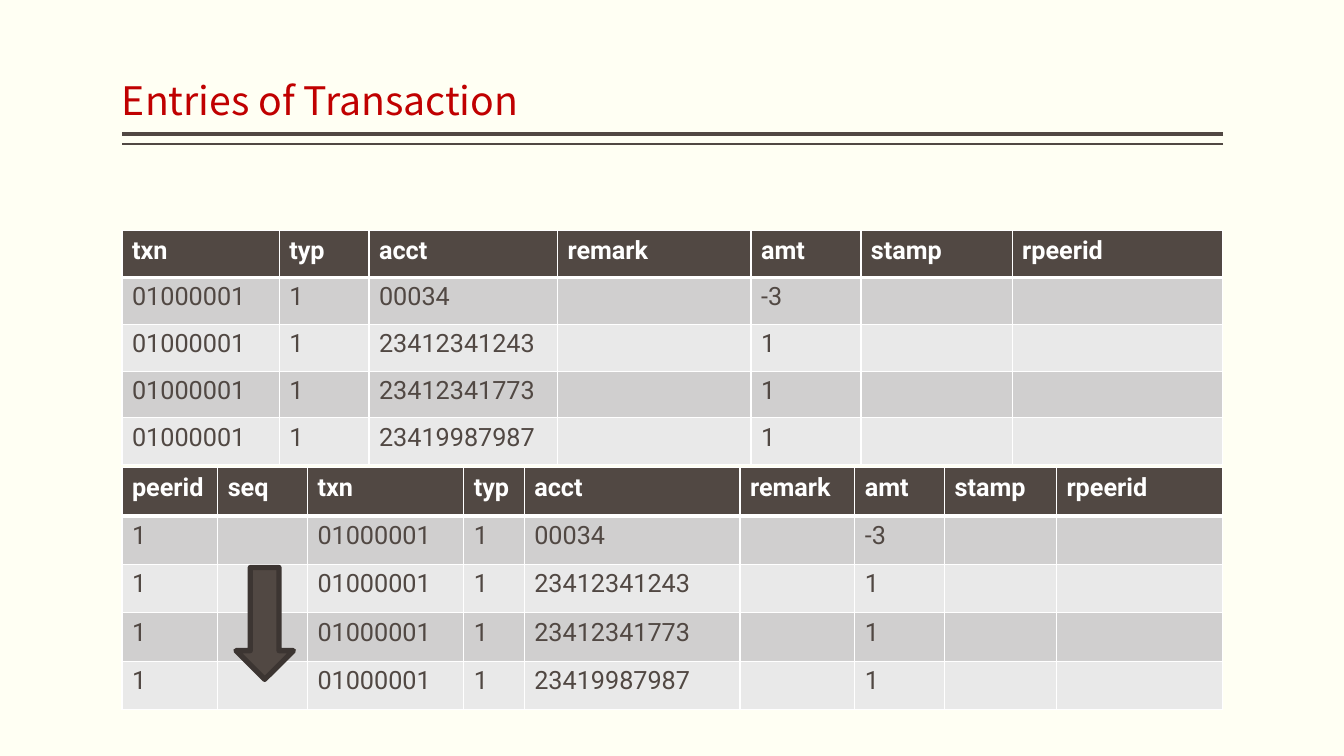
from lxml.etree import SubElement
from pptx import Presentation
from pptx.dml.color import RGBColor as Rgb
from pptx.enum.shapes import MSO_CONNECTOR as Connector, MSO_SHAPE as Preset
from pptx.enum.text import MSO_ANCHOR as Anchor, PP_ALIGN as Align
from pptx.oxml.ns import qn
from pptx.util import Inches, Pt

PAPER = Rgb(0xFF, 0xFF, 0xF3)
RED = Rgb(0xC0, 0x00, 0x00)
BROWN = Rgb(0x51, 0x48, 0x43)
DARK_BROWN = Rgb(0x3C, 0x35, 0x32)
WHITE = Rgb(0xFF, 0xFF, 0xFF)
BANDS = (Rgb(0xD0, 0xCF, 0xCF), Rgb(0xE9, 0xE9, 0xE9))

LEFT, WIDTH = 1.21, 10.92
TITLE_FONT, TABLE_FONT = "Noto Sans CJK SC", "Roboto"

ENTRY_HEADS = ["txn", "typ", "acct", "remark", "amt", "stamp", "rpeerid"]
ENTRIES = [
    ["01000001", "1", account, "", amount, "", ""]
    for account, amount in (
        ("00034", "-3"),
        ("23412341243", "1"),
        ("23412341773", "1"),
        ("23419987987", "1"),
    )
]
ENTRY_COLUMNS = [1.56, 0.89, 1.87, 1.92, 1.09, 1.5, 2.09]
PEER_COLUMNS = [0.95, 0.89, 1.55, 0.6, 2.14, 1.14, 0.89, 1.11, 1.65]


def write(frame, text, *, font, size, color, bold=False, spacing=1.0):
    """Put one formatted line of text into a text frame."""
    line = frame.paragraphs[0]
    line.alignment, line.line_spacing = Align.LEFT, spacing
    run = line.add_run()
    run.text = text
    run.font.name, run.font.size, run.font.bold = font, Pt(size), bold
    run.font.color.rgb = color
    east_asian = SubElement(run.font._element, qn("a:ea"))
    east_asian.set("typeface", font)


def add_title(slide, text):
    """Place and format the slide's title placeholder."""
    title = slide.shapes.title
    title.left, title.top = Inches(LEFT), Inches(0.08)
    title.width, title.height = Inches(WIDTH), Inches(1.2)
    frame = title.text_frame
    frame.margin_left = frame.margin_right = 0
    frame.vertical_anchor, frame.word_wrap = Anchor.BOTTOM, True
    write(frame, text, font=TITLE_FONT, size=28, color=RED, spacing=0.9)


def add_rule(slide, top, weight):
    """Draw a horizontal rule across the content width."""
    rule = slide.shapes.add_connector(
        Connector.STRAIGHT, Inches(LEFT + WIDTH), Inches(top), Inches(LEFT), Inches(top)
    )
    rule.line.color.rgb, rule.line.width = BROWN, Pt(weight)
    SubElement(rule._element.spPr, qn("a:effectLst"))


def set_borders(cell, **weights):
    """Give a cell white borders of the given weights by side."""
    properties = cell._tc.get_or_add_tcPr()
    for side, weight in weights.items():
        border = SubElement(properties, qn(f"a:ln{side}"), w=str(Pt(weight)))
        fill = SubElement(border, qn("a:solidFill"))
        SubElement(fill, qn("a:srgbClr"), val=str(WHITE))


def fill_cell(cell, text, row):
    """Format a cell as heading or banded entry according to its row."""
    heading = row == 0
    set_borders(cell, L=1, R=1, T=3 if row == 1 else 1, B=3 if heading else 1)
    cell.fill.solid()
    cell.fill.fore_color.rgb = BROWN if heading else BANDS[(row - 1) % 2]
    if text:
        write(cell.text_frame, text, font=TABLE_FONT, size=18,
              color=WHITE if heading else BROWN, bold=heading)


def add_entries(slide, rows, columns, top, row_height):
    """Add a table whose columns share the content width."""
    table = slide.shapes.add_table(
        len(rows), len(columns), Inches(LEFT), Inches(top),
        Inches(WIDTH), Inches(row_height * len(rows)),
    ).table
    for column, share in zip(table.columns, columns):
        column.width = Inches(WIDTH * share / sum(columns))
    for r, texts in enumerate(rows):
        table.rows[r].height = Inches(row_height)
        for c, text in enumerate(texts):
            fill_cell(table.cell(r, c), text, r)


def add_sequence_arrow(slide):
    """Draw the arrow running down the seq column."""
    arrow = slide.shapes.add_shape(
        Preset.DOWN_ARROW, Inches(2.34), Inches(5.63), Inches(0.57), Inches(1.11)
    )
    arrow.shadow.inherit = False
    arrow.fill.solid()
    arrow.fill.fore_color.rgb = BROWN
    arrow.line.color.rgb, arrow.line.width = DARK_BROWN, Pt(3.78)


def main():
    """Build the slide and save it."""
    deck = Presentation()
    deck.slide_width, deck.slide_height = Inches(13.33), Inches(7.5)
    slide = deck.slides.add_slide(deck.slide_layouts[5])
    slide.background.fill.solid()
    slide.background.fill.fore_color.rgb = PAPER

    add_rule(slide, 1.33, 3)
    add_rule(slide, 1.43, 1)
    add_title(slide, "Entries of Transaction")
    add_entries(slide, [ENTRY_HEADS, *ENTRIES], ENTRY_COLUMNS, 2.29, 0.464)
    peer_rows = [["peerid", "seq", *ENTRY_HEADS]]
    peer_rows += [["1", "", *entry] for entry in ENTRIES]
    add_entries(slide, peer_rows, PEER_COLUMNS, 4.64, 0.48)
    add_sequence_arrow(slide)
    deck.save("out.pptx")


main()
